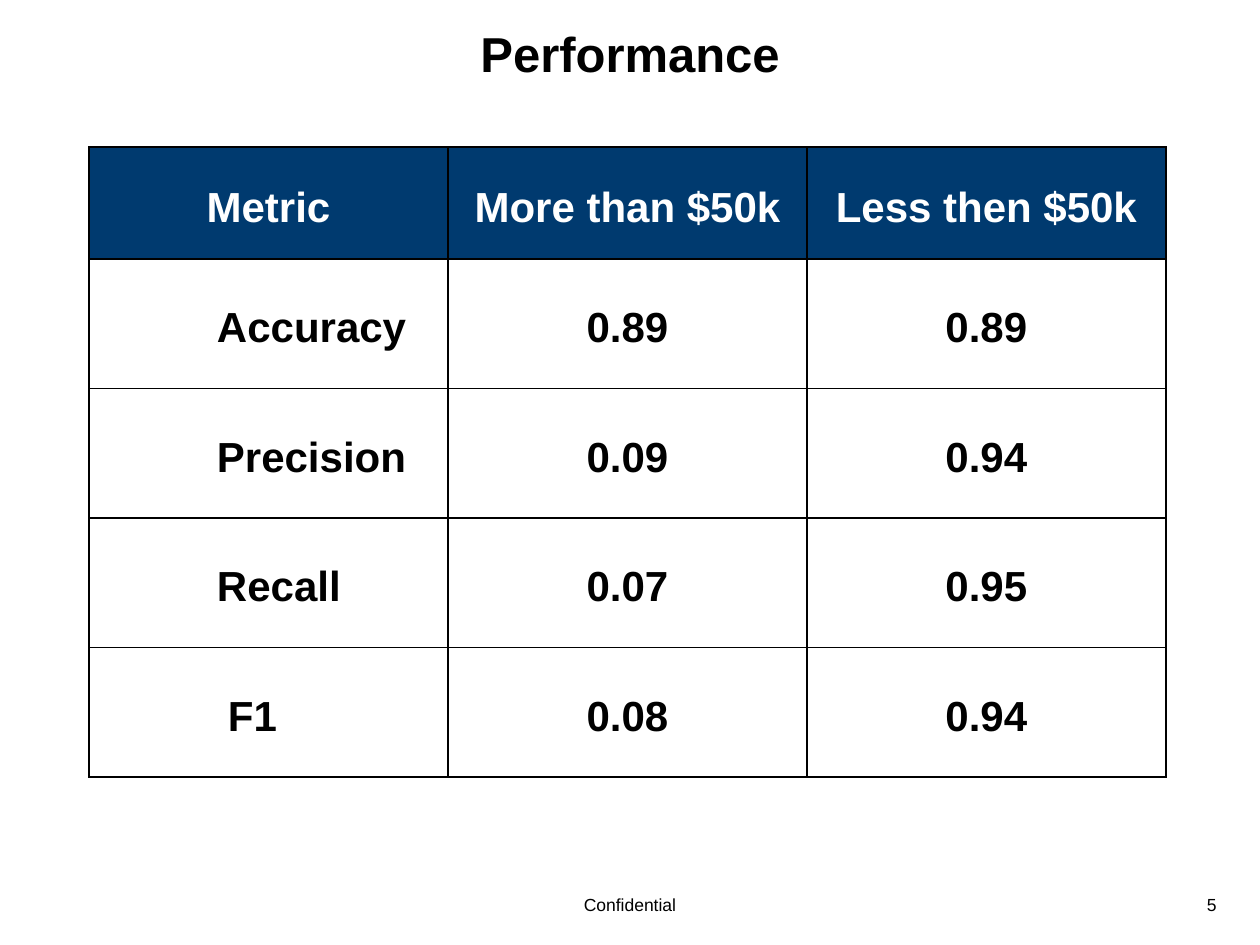
"""Builds the model performance slide with its table of metrics."""
from lxml import etree
from pptx import Presentation
from pptx import util as u
from pptx.dml.color import RGBColor
from pptx.enum import text
from pptx.oxml import ns

BLACK = RGBColor(0x00, 0x00, 0x00)
WHITE = RGBColor(0xFF, 0xFF, 0xFF)
NAVY = RGBColor(0x00, 0x3A, 0x6F)
LEFT, CENTER, RIGHT = text.PP_ALIGN.LEFT, text.PP_ALIGN.CENTER, text.PP_ALIGN.RIGHT
BLANK_LAYOUT = 6


def px(length):
    """Turns pixels into EMU."""
    return u.Emu(round(length * u.Inches(1) / 126))


class SlideBuilder:
    """Holds the style and the current slide."""

    font = "Arial"
    cell_size = 24

    def __init__(self, slide):
        self.slide = slide

    def add_span(self, para, words, size, color=BLACK, bold=False, align=LEFT):
        """Adds one styled run to a paragraph."""
        para.alignment = align
        span = para.add_run()
        span.text = words
        span.font.name = self.font
        span.font.size = u.Pt(size)
        span.font.bold = bold
        span.font.color.rgb = color

    def label(self, words, left, top, width, height, size, align, bold=False, inset_top=6):
        """Adds a text box with one line."""
        box = self.slide.shapes.add_textbox(px(left), px(top), px(width), px(height))
        frame = box.text_frame
        frame.word_wrap = True
        frame.margin_top = px(inset_top)
        self.add_span(frame.paragraphs[0], words, size, bold=bold, align=align)

    def border(self, cell):
        """Draws a thin black line on each side of a cell."""
        props = cell._tc.get_or_add_tcPr()
        for index, side in enumerate(("lnL", "lnR", "lnT", "lnB")):
            line = etree.Element(ns.qn(f"a:{side}"), w=str(u.Pt(1)))
            fill = etree.SubElement(line, ns.qn("a:solidFill"))
            etree.SubElement(fill, ns.qn("a:srgbClr"), val=str(BLACK))
            props.insert(index, line)

    def cell(self, cell, words, header=False, indent=None):
        """Fills one table cell."""
        cell.vertical_anchor = text.MSO_ANCHOR.MIDDLE
        cell.fill.solid()
        cell.fill.fore_color.rgb = NAVY if header else WHITE
        if indent is not None:
            cell.margin_left = px(indent)
        para = cell.text_frame.paragraphs[0]
        para.line_spacing = 1.2
        para.space_before = u.Pt(0.2 * self.cell_size)
        self.add_span(para, words, self.cell_size, WHITE if header else BLACK,
                      bold=True, align=LEFT if indent is not None else CENTER)
        self.border(cell)

    def table(self, header, rows, indents, left, top, width, height, header_height):
        """Adds a table with equal columns and equal body rows."""
        frame = self.slide.shapes.add_table(
            len(rows) + 1, len(header), px(left), px(top), px(width), px(height))
        grid = frame.table
        for column in grid.columns:
            column.width = px(width / len(header))
        for row in grid.rows:
            row.height = px((height - header_height) / len(rows))
        grid.rows[0].height = px(header_height)
        for col, words in enumerate(header):
            self.cell(grid.cell(0, col), words, header=True)
        for number, (values, indent) in enumerate(zip(rows, indents), 1):
            for col, words in enumerate(values):
                self.cell(grid.cell(number, col), words, indent=None if col else indent)


deck = Presentation()
deck.slide_width, deck.slide_height = px(1260), px(945)
page = SlideBuilder(deck.slides.add_slide(deck.slide_layouts[BLANK_LAYOUT]))

page.label("5", 1172, 888, 57, 34, 10, RIGHT)
page.label("Confidential", 252, 888, 756, 34, 10, CENTER)
page.label("Performance", 42, 10, 1176, 97, 28, CENTER, bold=True, inset_top=13)
page.table(
    header=("Metric", "More than $50k", "Less then $50k"),
    rows=(
        ("Accuracy", "0.89", "0.89"),
        ("Precision", "0.09", "0.94"),
        ("Recall", "0.07", "0.95"),
        ("F1", "0.08", "0.94"),
    ),
    indents=(128, 128, 128, 139),
    left=89, top=147, width=1077, height=630, header_height=112,
)

deck.save("out.pptx")
